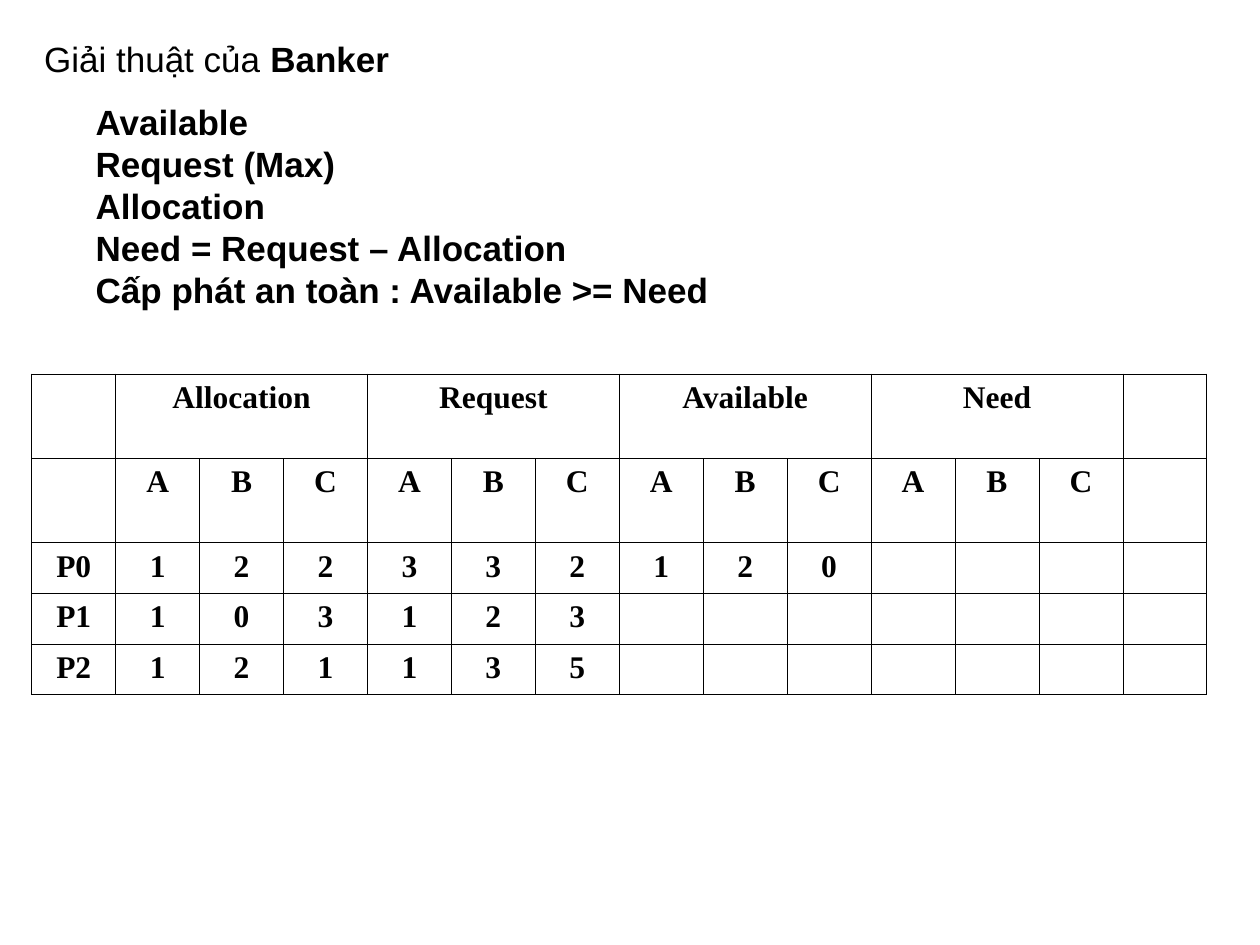
from dataclasses import dataclass

from lxml.etree import SubElement
from pptx import Presentation
from pptx.dml.color import RGBColor
from pptx.enum.text import MSO_AUTO_SIZE, PP_ALIGN
from pptx.oxml.ns import qn
from pptx.util import Cm, Pt


@dataclass(frozen=True)
class Theme:
    """Colours, fonts and sizes of the slide."""
    ink: str = "000000"
    sans: str = "Arial"
    serif: str = "Times New Roman"
    body: float = 20
    grid: float = 18
    rule: float = 0.45


def apply(target, values):
    """Set each named value on the target."""
    for name, value in values.items():
        setattr(target, name, value)


class Deck:
    """Holds the theme and the current slide."""

    def __init__(self, theme):
        """Start a deck with one blank slide."""
        self.theme = theme
        self.show = Presentation()
        apply(self.show, {"slide_width": Cm(25.4), "slide_height": Cm(19.05)})
        self.slide = self.show.slides.add_slide(self.show.slide_layouts[6])

    def label(self, para, text, face, size, bold):
        """Add one styled run to a paragraph."""
        run = para.add_run()
        run.text = text
        apply(run.font, {"name": face, "size": Pt(size), "bold": bold})
        run.font.color.rgb = RGBColor.from_string(self.theme.ink)

    def text(self, left, top, width, height, lines, wrap):
        """Add a text box from lines of (text, bold) runs."""
        frame = self.slide.shapes.add_textbox(
            Cm(left), Cm(top), Cm(width), Cm(height)).text_frame
        apply(frame, {"word_wrap": wrap,
                      "auto_size": MSO_AUTO_SIZE.SHAPE_TO_FIT_TEXT})
        for i, line in enumerate(lines):
            para = frame.add_paragraph() if i else frame.paragraphs[0]
            for words, bold in line:
                self.label(para, words, self.theme.sans, self.theme.body, bold)

    def edge(self, cell):
        """Draw a thin rule on all four sides of a cell."""
        props = cell._tc.get_or_add_tcPr()
        for side in ("a:lnL", "a:lnR", "a:lnT", "a:lnB"):
            line = SubElement(props, qn(side), w=str(Pt(self.theme.rule)))
            fill = SubElement(line, qn("a:solidFill"))
            SubElement(fill, qn("a:srgbClr"), val=self.theme.ink)

    def table(self, left, top, width, heights, rows, spans):
        """Add a ruled table whose first row has merged heads."""
        count = len(rows[0])
        grid = self.slide.shapes.add_table(
            len(rows), count, Cm(left), Cm(top), Cm(width),
            Cm(sum(heights))).table
        apply(grid, {"first_row": False, "horz_banding": False})
        for col in grid.columns:
            col.width = Cm(width / count)
        for r, (height, row) in enumerate(zip(heights, rows)):
            grid.rows[r].height = Cm(height)
            for c, value in enumerate(row):
                cell = grid.cell(r, c)
                self.edge(cell)
                cell.fill.background()
                para = cell.text_frame.paragraphs[0]
                para.alignment = PP_ALIGN.CENTER
                self.label(para, value, self.theme.serif, self.theme.grid, True)
        for first, last in spans:
            grid.cell(0, first).merge(grid.cell(0, last))

    def save(self):
        """Save the deck."""
        self.show.save("out.pptx")


def main():
    """Build the Banker slide."""
    deck = Deck(Theme())
    deck.text(0.64, 0.64, 12.7, 1.11,
              [[("Giải thuật của ", False), ("Banker", True)]], True)

    heads = ["Allocation", "Request", "Available", "Need"]
    top = [""] + [word for head in heads for word in (head, "", "")] + [""]
    names = ["", *"ABC" * len(heads), ""]
    data = {"P0": "122332120", "P1": "103123", "P2": "121135"}
    body = [[name, *digits] + [""] * (len(names) - 1 - len(digits))
            for name, digits in data.items()]
    spans = [(c, c + 2) for c in range(1, len(names) - 1, 3)]
    deck.table(0.64, 7.54, 23.7, [1.7] * 2 + [1.02] * len(data),
               [top, names, *body], spans)

    terms = ["Available", "Request (Max)", "Allocation",
             "Need = Request – Allocation",
             "Cấp phát an toàn : Available >= Need"]
    deck.text(1.68, 1.91, 12.93, 4.5, [[(term, True)] for term in terms], False)
    deck.save()


if __name__ == "__main__":
    main()
